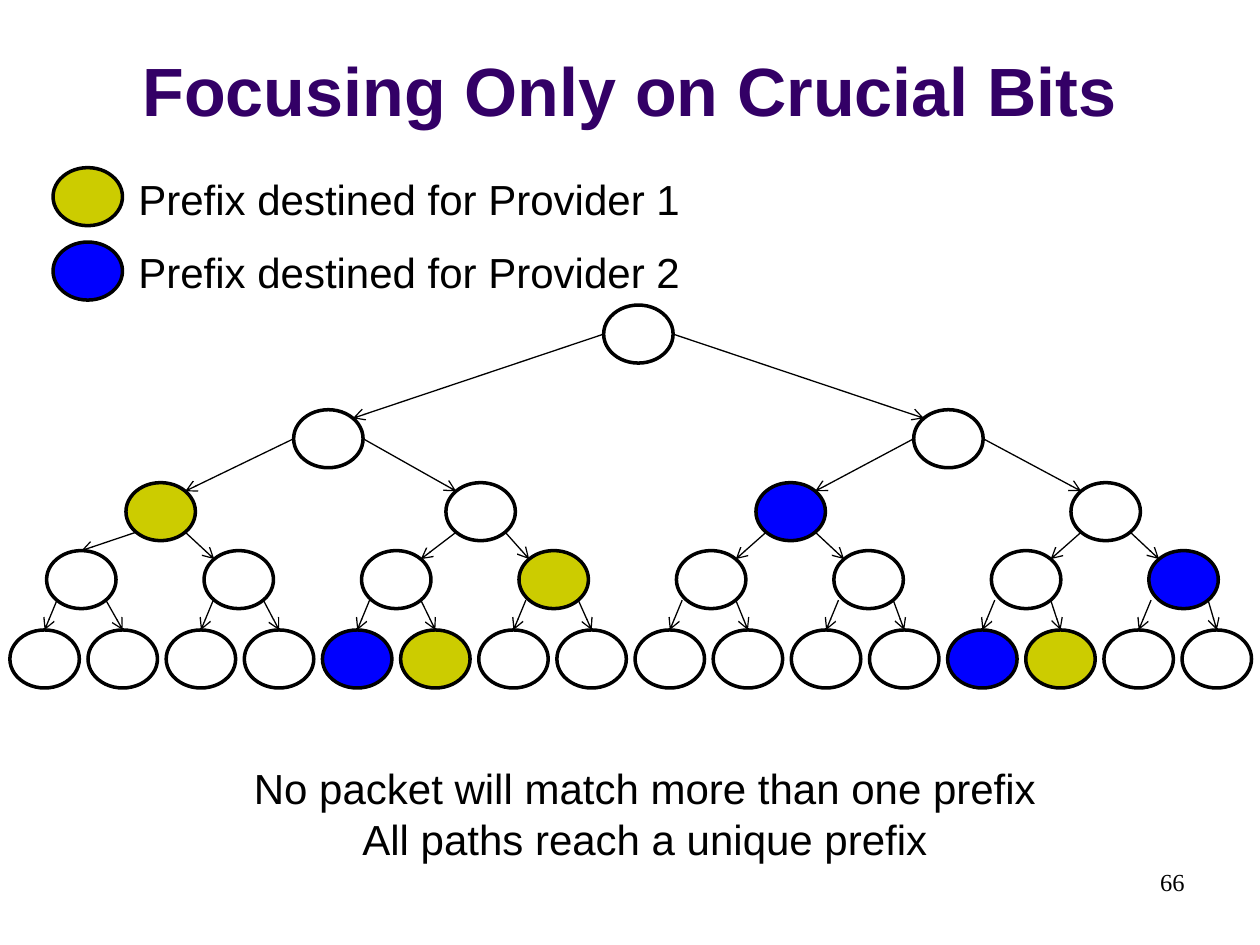
from math import sqrt

from lxml.etree import SubElement
from pptx import Presentation
from pptx.dml.color import RGBColor
from pptx.enum.shapes import MSO_CONNECTOR, MSO_SHAPE
from pptx.enum.text import MSO_ANCHOR, PP_ALIGN
from pptx.oxml.ns import qn
from pptx.util import Cm, Pt

COLORS = {
    "title": "330066",
    "ink": "000000",
    "empty": "FFFFFF",
    "provider 1": "CCCC00",
    "provider 2": "0000FF",
}
NODE_W, NODE_H = 1.4, 1.17
DIAG_X, DIAG_Y = NODE_W / 2 / sqrt(2), NODE_H / 2 / sqrt(2)

prs = Presentation()
prs.slide_width, prs.slide_height = Cm(25.4), Cm(19.05)
slide = prs.slides.add_slide(prs.slide_layouts[6])


def rgb(name):
    return RGBColor.from_string(COLORS[name])


def add_node(left, top, fill):
    node = slide.shapes.add_shape(
        MSO_SHAPE.OVAL, Cm(left), Cm(top), Cm(NODE_W), Cm(NODE_H))
    node.shadow.inherit = False
    node.fill.solid()
    node.fill.fore_color.rgb = rgb(fill)
    node.line.color.rgb = rgb("ink")
    node.line.width = Pt(2)


# Text: lines, box, size, font, colour, bold, alignment, anchor, line spacing
texts = [
    (["Focusing Only on Crucial Bits"], (0, 0.33, 25.4, 2.41), 39, "Arial",
     "title", True, PP_ALIGN.CENTER, MSO_ANCHOR.BOTTOM, None),
    (["66"], (18.21, 17.35, 5.92, 1.27), 14, "Times New Roman",
     "ink", False, PP_ALIGN.RIGHT, MSO_ANCHOR.TOP, None),
    (["Prefix destined for Provider 1"], (2.54, 3.38, 16.08, 1.27), 24, "Arial",
     "ink", False, PP_ALIGN.LEFT, MSO_ANCHOR.MIDDLE, Pt(28.8)),
    (["Prefix destined for Provider 2"], (2.54, 4.85, 16.08, 1.27), 24, "Arial",
     "ink", False, PP_ALIGN.LEFT, MSO_ANCHOR.MIDDLE, Pt(28.8)),
    (["No packet will match more than one prefix",
      "All paths reach a unique prefix"], (2.74, 15.24, 20.52, 2.31), 24, "Arial",
     "ink", False, PP_ALIGN.CENTER, MSO_ANCHOR.MIDDLE, Pt(28.8)),
]
for lines, box, size, font, color, bold, align, anchor, spacing in texts:
    frame = slide.shapes.add_textbox(*map(Cm, box)).text_frame
    frame.word_wrap = True
    frame.vertical_anchor = anchor
    for index, line in enumerate(lines):
        paragraph = frame.add_paragraph() if index else frame.paragraphs[0]
        paragraph.alignment = align
        paragraph.line_spacing = spacing
        run = paragraph.add_run()
        run.text = line
        run.font.size = Pt(size)
        run.font.name = font
        run.font.bold = bold
        run.font.color.rgb = rgb(color)

# Legend
add_node(1.07, 3.38, "provider 1")
add_node(1.07, 4.88, "provider 2")

# Binary tree: left edges and top edge of each level, root first
levels = [
    ([12.17], 6.15),
    ([5.92, 18.42], 8.26),
    ([2.54, 8.99, 15.24, 21.59], 9.73),
    ([0.94 + i * (23.16 - 0.94) / 7 for i in range(8)], 11.1),
    ([0.2 + i * (23.83 - 0.2) / 15 for i in range(16)], 12.7),
]
prefixes = {
    (2, 0): "provider 1", (3, 3): "provider 1",
    (4, 5): "provider 1", (4, 13): "provider 1",
    (2, 2): "provider 2", (3, 7): "provider 2",
    (4, 4): "provider 2", (4, 12): "provider 2",
}
for depth, (lefts, top) in enumerate(levels):
    for index, left in enumerate(lefts):
        add_node(left, top, prefixes.get((depth, index), "empty"))

# Arrows from each node to its two children
for depth in range(4):
    parents, parent_top = levels[depth]
    children, child_top = levels[depth + 1]
    for child, child_left in enumerate(children):
        side = 1 if child % 2 else -1
        parent_x = parents[child // 2] + NODE_W / 2
        parent_y = parent_top + NODE_H / 2
        child_x = child_left + NODE_W / 2

        if depth < 2:
            start_x, start_y = parent_x + side * NODE_W / 2, parent_y
        else:
            start_x, start_y = parent_x + side * DIAG_X, parent_y + DIAG_Y
        if depth == 3 and side < 0:
            start_x = child_x + 0.25

        if depth == 3 or (depth, child) == (2, 0):
            end_x, end_y = child_x, child_top
        else:
            end_x = child_x - side * DIAG_X
            end_y = child_top + NODE_H / 2 - DIAG_Y

        arrow = slide.shapes.add_connector(
            MSO_CONNECTOR.STRAIGHT, Cm(start_x), Cm(start_y), Cm(end_x), Cm(end_y))
        arrow.line.color.rgb = rgb("ink")
        arrow.line.width = Pt(0.75)
        SubElement(arrow.line._get_or_add_ln(), qn("a:tailEnd"), type="arrow")
        SubElement(arrow._element.spPr, qn("a:effectLst"))

prs.save("out.pptx")
